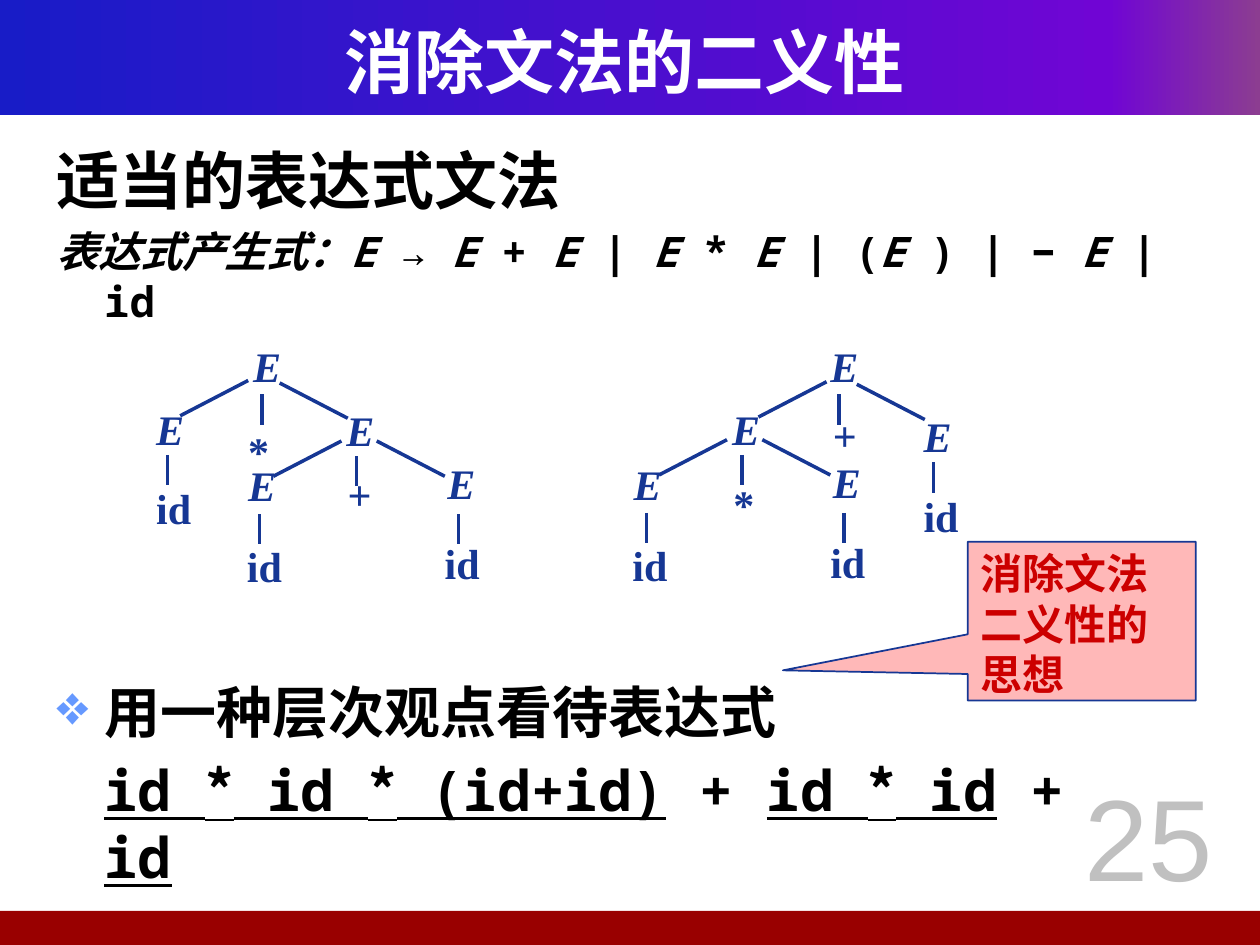
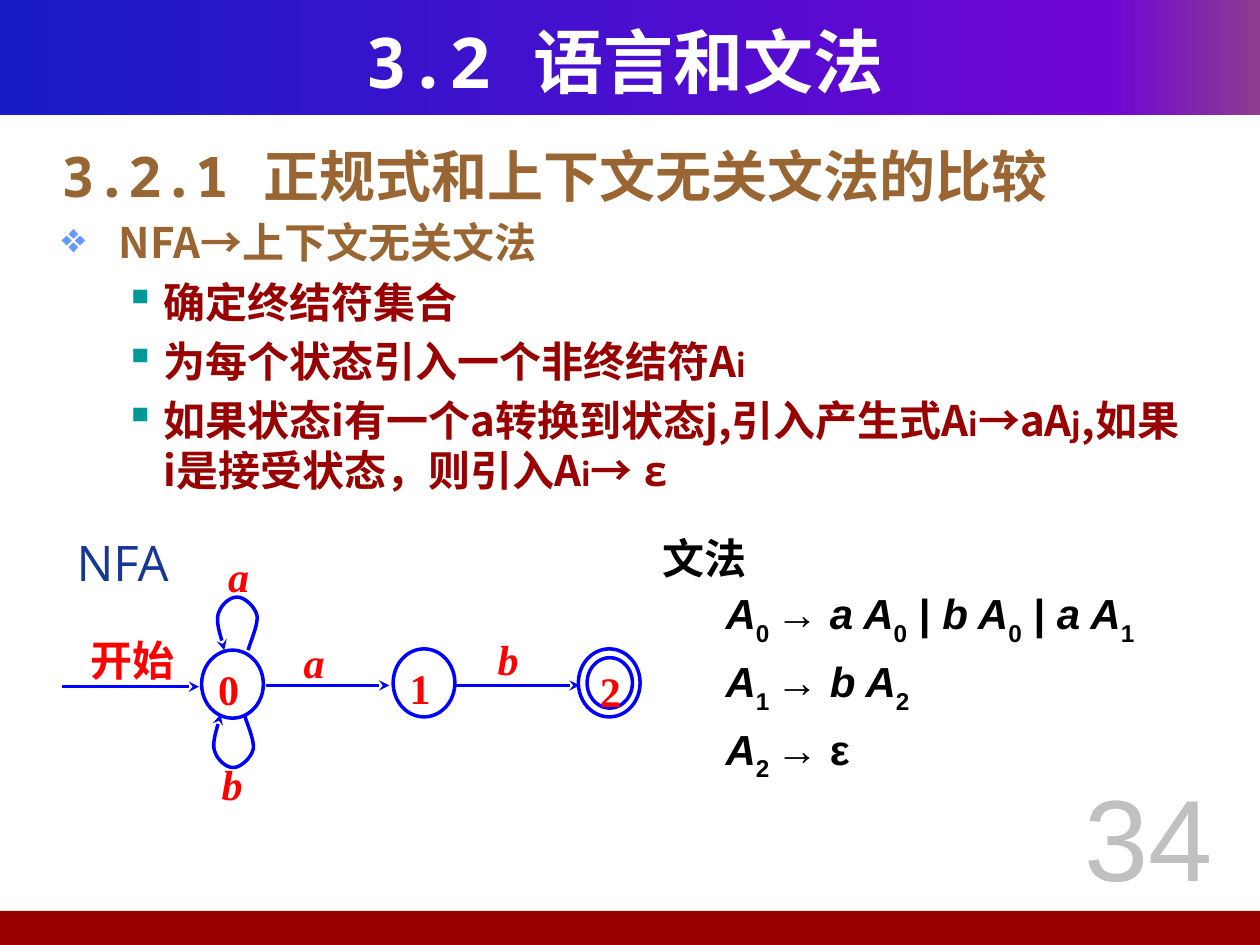
from copy import deepcopy
from lxml import etree
from pptx import Presentation, util as u
from pptx.dml.color import RGBColor
from pptx.enum import shapes, text
from pptx.oxml import ns

hue = RGBColor.from_string
MONO, HAN, SERIF, SANS = "Noto Sans Mono", "Noto Sans CJK SC", "Times New Roman", "Open Sans"
NAVY, BLUE, RED, MAROON, BROWN = "163794", "0000FF", "FF0000", "990000", "996633"
DIAMOND, SQUARE = ("❖", "6699FF"), ("▪", "009999")


def write(frame, runs, size, face, color, bold=True, italic=False, before=0, after=0,
          margin=0, indent=0, bullet=None, align=text.PP_ALIGN.LEFT):
    frame.word_wrap = True
    paragraph = frame.add_paragraph() if frame.paragraphs[0].runs else frame.paragraphs[0]
    paragraph.alignment = align
    paragraph.space_before, paragraph.space_after = u.Pt(before), u.Pt(after)
    font = paragraph.font
    font.size, font.name, font.bold, font.italic = u.Pt(size), face, bold, italic
    font.color.rgb = hue(color)
    props = paragraph._p.pPr
    props.set("marL", str(u.Inches(margin)))
    props.set("indent", str(u.Inches(indent)))
    defaults = props.find(ns.qn("a:defRPr"))
    etree.SubElement(defaults, ns.qn("a:ea"), typeface=HAN)
    if bullet:
        mark, tint = bullet
        bullet_color = etree.Element(ns.qn("a:buClr"))
        etree.SubElement(bullet_color, ns.qn("a:srgbClr"), val=tint)
        defaults.addprevious(bullet_color)
        defaults.addprevious(etree.Element(ns.qn("a:buChar"), char=mark))
    for words, look in [(runs, {})] if isinstance(runs, str) else runs:
        run = paragraph.add_run()
        run.text = words
        for name, value in look.items():
            if name == "baseline":
                run._r.get_or_add_rPr().set(name, value)
            else:
                setattr(run.font, name, value)


def outline(shape, color, width=2, arrow=False):
    shape.line.color.rgb = hue(color)
    shape.line.width = u.Pt(width)
    if arrow:
        etree.SubElement(shape.line._get_or_add_ln(), ns.qn("a:tailEnd"), type="stealth")
    if hasattr(shape, "shadow"):
        shape.shadow.inherit = False
    else:
        etree.SubElement(shape._element.spPr, ns.qn("a:effectLst"))


deck = Presentation()
deck.slide_width, deck.slide_height = u.Inches(10), u.Inches(7.5)

headings = [
    ([("消除文法的二义性", {})], "25"),
    ([("3.2 ", {}), ("语言和文法", {"name": HAN})], "34"),
]
for heading, number in headings:
    slide = deck.slides.add_slide(deck.slide_layouts[6])
    header = slide.shapes.add_shape(shapes.MSO_SHAPE.RECTANGLE, 0, 0, u.Inches(10), u.Inches(0.91))
    header.fill.gradient()
    header.fill.gradient_angle = 0
    stops = header._element.spPr.find(ns.qn("a:gradFill")).find(ns.qn("a:gsLst"))
    stops.append(deepcopy(stops[-1]))
    for stop, (place, tint) in zip(header.fill.gradient_stops,
                                   [(0, "181CC7"), (0.88, "7005D4"), (1, "8C3D91")]):
        stop.position, stop.color.rgb = place, hue(tint)
    footer = slide.shapes.add_shape(shapes.MSO_SHAPE.RECTANGLE, u.Inches(-0.04), u.Inches(7.23),
                                    u.Inches(10.04), u.Inches(0.27))
    footer.fill.solid()
    footer.fill.fore_color.rgb = hue(MAROON)
    for band in (header, footer):
        band.line.fill.background()
        band.shadow.inherit = False
    title = slide.shapes.add_textbox(*map(u.Inches, (0.33, 0.17, 9.25, 0.62))).text_frame
    title.vertical_anchor = text.MSO_ANCHOR.MIDDLE
    write(title, heading, 40, MONO, "FFFFFF", align=text.PP_ALIGN.CENTER)
    page = slide.shapes.add_textbox(*map(u.Inches, (8.23, 6.03, 1.77, 1.42))).text_frame
    write(page, number, 66, "Arial", "C0C0C0", bold=False, align=text.PP_ALIGN.CENTER)

ambiguity, automaton = deck.slides

hanging = dict(margin=0.38, indent=-0.38)
slant, under, star = {"italic": True}, {"underline": True}, {"underline": True, "name": HAN}
body = ambiguity.shapes.add_textbox(*map(u.Inches, (0.35, 1.07, 8.98, 5.35))).text_frame
write(body, "适当的表达式文法", 36, MONO, "000000", before=7, **hanging)
production = [("表达式产生式：E ", slant), ("→ ", {}), ("E ", slant), ("+", {}), (" E ", slant),
              ("| ", {}), ("E ", slant), ("* ", {}), ("E", slant), (" | (", {}), ("E", slant),
              (" ) | − ", {}), ("E", slant), (" | id", {})]
write(body, production, 24, MONO, "000000", before=5, **hanging)
write(body, "用一种层次观点看待表达式", 32, MONO, "000000", before=201, bullet=DIAMOND, **hanging)
layers = [("id ", under), ("*", star), (" id ", under), ("*", star), (" (id+id)", under), (" + ", {}),
          ("id ", under), ("*", star), (" id", under), (" + ", {}), ("id", under)]
write(body, layers, 32, MONO, "000000", before=6, margin=0.38)

symbols = {
    "E": [(1.99, 2.69), (1.22, 3.19), (2.73, 3.2), (1.95, 3.64), (3.53, 3.62),
          (6.57, 2.69), (7.31, 3.25), (5.79, 3.19), (5.01, 3.63), (6.59, 3.61)],
    "id": [(1.22, 3.82), (1.94, 4.28), (3.51, 4.26),
           (7.31, 3.88), (5, 4.27), (6.57, 4.25)],
    "*": [(1.95, 3.37), (5.8, 3.79)],
    "+": [(2.74, 3.71), (6.59, 3.24)],
}
for symbol, places in symbols.items():
    for x, y in places:
        node = ambiguity.shapes.add_textbox(*map(u.Inches, (x, y, 0.37, 0.42))).text_frame
        node.margin_left = node.margin_right = u.Inches(0.02)
        node.margin_top = node.margin_bottom = u.Inches(0.01)
        write(node, symbol, 24, SERIF, NAVY, italic=symbol == "E")

branches = {
    (-0.54, 0.28): [(1.97, 3.02), (2.71, 3.5), (6.56, 3.03), (5.77, 3.49)],
    (0.54, 0.28): [(2.22, 3.04), (2.99, 3.5), (6.8, 3.05), (6.05, 3.49)],
    (0, 0.24): [(2.08, 3.13), (2.83, 3.62), (2.06, 4.08), (3.64, 4.08), (1.33, 3.61),
                (6.66, 3.13), (7.41, 3.67), (5.89, 3.61), (5.13, 4.07), (6.7, 4.07)],
}
for (across, down), starts in branches.items():
    for x, y in starts:
        branch = ambiguity.shapes.add_connector(
            shapes.MSO_CONNECTOR.STRAIGHT, *map(u.Inches, (x, y, x + across, y + down)))
        outline(branch, NAVY)

idea = ambiguity.shapes.add_shape(shapes.MSO_SHAPE.RECTANGULAR_CALLOUT,
                                  *map(u.Inches, (7.68, 4.3, 1.81, 1.26)))
idea.adjustments[0], idea.adjustments[1] = -1.31, 0.31
idea.fill.solid()
idea.fill.fore_color.rgb = hue("FFB8B8")
outline(idea, NAVY, 1)
idea.text_frame.vertical_anchor = text.MSO_ANCHOR.TOP
write(idea.text_frame, "消除文法二义性的思想", 24, SANS, "CC0000")

body = automaton.shapes.add_textbox(*map(u.Inches, (0.39, 1.07, 9.08, 2.79))).text_frame
write(body, "3.2.1 正规式和上下文无关文法的比较", 32, MONO, BROWN, before=6, **hanging)
write(body, " NFA→上下文无关文法", 24, HAN, BROWN, before=5, bullet=DIAMOND, **hanging)
small = {"size": u.Pt(18)}
steps = [
    "确定终结符集合",
    [("为每个状态引入一个非终结符A", {}), ("i", small)],
    [("如果状态i有一个a转换到状态j,引入产生式A", {}), ("i", small), ("→aA", {}), ("j", small),
     (",如果i是接受状态，则引入A", {}), ("i", small), ("→ ", {}), ("ε", {"name": MONO})],
]
for step in steps:
    write(body, step, 24, HAN, MAROON, before=5, margin=0.81, indent=-0.31, bullet=SQUARE)

grammar = automaton.shapes.add_textbox(*map(u.Inches, (5.16, 4.18, 4.49, 1.92))).text_frame
write(grammar, "文法", 24, SANS, "000000")
sub = {"baseline": "-30000"}
rules = [
    [("A", slant), ("0 ", sub), ("→ ", {}), ("a A", slant), ("0", sub), (" | ", {}),
     ("b A", slant), ("0", sub), (" | ", {}), ("a A", slant), ("1", sub)],
    [("A", slant), ("1 ", sub), ("→ ", {}), ("b A", slant), ("2", sub)],
    [("A", slant), ("2 ", sub), ("→ ε", {})],
]
for rule in rules:
    write(grammar, rule, 24, "Arial", "000000", before=2.4, after=2.4, margin=0.5)

caption = automaton.shapes.add_textbox(*map(u.Inches, (0.51, 4.18, 1.5, 0.57))).text_frame
write(caption, "NFA", 28, SANS, NAVY, bold=False)

states = [("0", 1.6, 5.16, 0.49, 0.54, 0.06, 0.03), ("1", 3.12, 5.15, 0.49, 0.54, 0.06, 0.03),
          ("", 4.59, 5.15, 0.49, 0.54, 0, 0), ("2", 4.66, 5.22, 0.36, 0.4, 0.05, 0)]
for name, x, y, width, height, left, top in states:
    state = automaton.shapes.add_shape(shapes.MSO_SHAPE.OVAL, *map(u.Inches, (x, y, width, height)))
    state.fill.background()
    outline(state, BLUE)
    if name:
        inside = state.text_frame
        inside.vertical_anchor = text.MSO_ANCHOR.TOP
        inside.margin_left, inside.margin_top = u.Inches(left), u.Inches(top)
        inside.margin_right, inside.margin_bottom = u.Inches(0.01), 0
        write(inside, name, 24, SERIF, RED)

for start, end, y in [(0.49, 1.58, 5.45), (2.11, 3.09, 5.44), (3.62, 4.6, 5.44)]:
    move = automaton.shapes.add_connector(shapes.MSO_CONNECTOR.STRAIGHT,
                                          *map(u.Inches, (start, y, end, y)))
    outline(move, BLUE, arrow=True)

bends = [(1.97, 5.16), (1.98, 5.11), (2.05, 4.96), (2.04, 4.89), (2.03, 4.82), (1.94, 4.74),
         (1.89, 4.74), (1.83, 4.73), (1.75, 4.8), (1.73, 4.88), (1.71, 4.95), (1.77, 5.1), (1.78, 5.16)]
curve = [bends[0]]
for first in range(0, 12, 3):
    for t in (step / 10 for step in range(1, 11)):
        weights = ((1 - t) ** 3, 3 * t * (1 - t) ** 2, 3 * t * t * (1 - t), t ** 3)
        curve.append(tuple(sum(w * point[axis] for w, point in zip(weights, bends[first:first + 4]))
                           for axis in (0, 1)))
for points in (curve, [(x - 0.03, 10.83 - y) for x, y in curve]):
    corners = [(u.Inches(x), u.Inches(y)) for x, y in points]
    builder = automaton.shapes.build_freeform(*corners[0])
    builder.add_line_segments(corners[1:], close=False)
    loop = builder.convert_to_shape()
    loop.fill.background()
    outline(loop, BLUE, arrow=True)

inputs = [("开始", 0.66, 5.01, 0.79), ("a", 2.35, 5.02, 0.39), ("a", 1.75, 4.34, 0.39),
          ("b", 1.7, 5.99, 0.4), ("b", 3.89, 5, 0.39)]
for letter, x, y, width in inputs:
    label = automaton.shapes.add_textbox(*map(u.Inches, (x, y, width, 0.44))).text_frame
    label.margin_left = label.margin_right = u.Inches(0.06)
    label.margin_top = label.margin_bottom = u.Inches(0.03)
    write(label, letter, 24, SERIF, RED, italic=letter != "开始")

deck.save("out.pptx")
